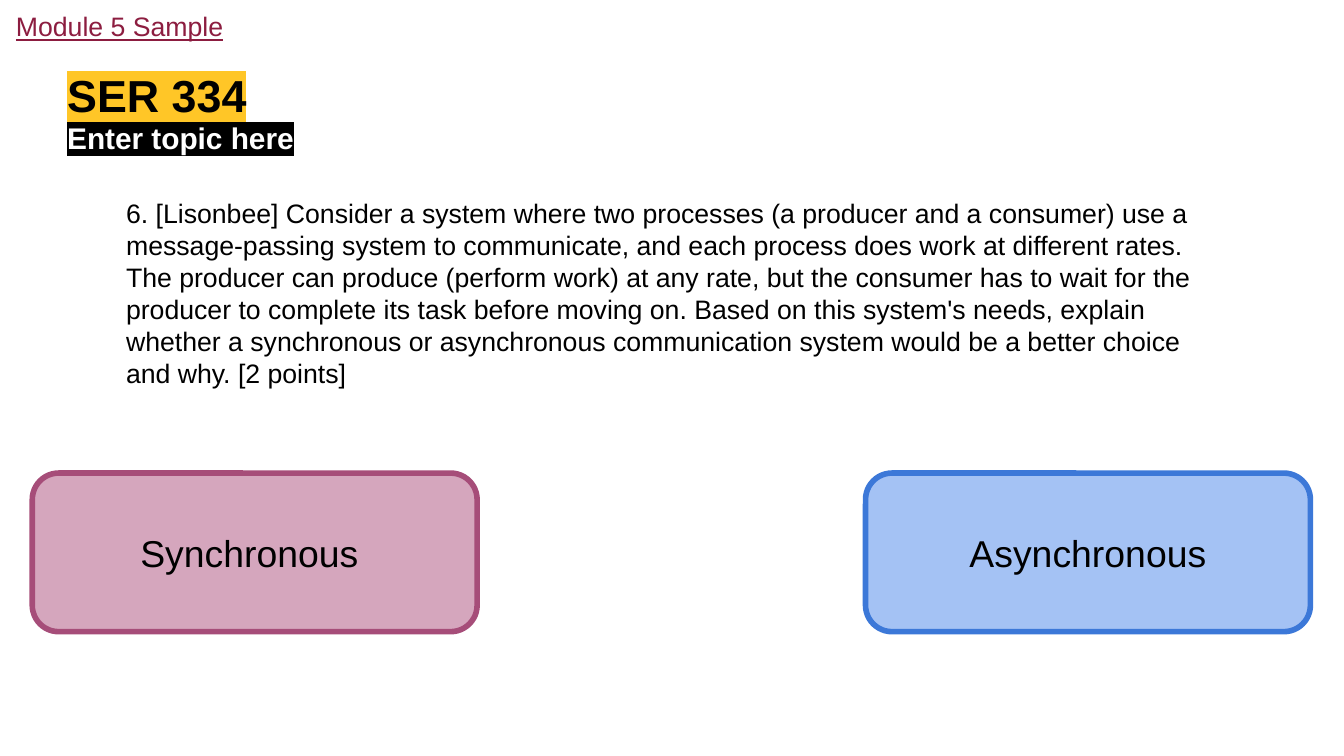
from lxml import etree
from pptx import Presentation
from pptx.dml.color import RGBColor
from pptx.enum.shapes import MSO_SHAPE
from pptx.enum.text import MSO_ANCHOR, PP_ALIGN
from pptx.oxml.ns import qn
from pptx.util import Inches, Pt

COLORS = {
    "black": "000000", "white": "FFFFFF", "gold": "FFC627", "maroon": "8C1D40",
    "pink": "D5A6BD", "plum": "A64D79", "sky": "A4C2F4", "blue": "3C78D8",
}

QUESTION = (
    "6. [Lisonbee] Consider a system where two processes (a producer and a consumer) "
    "use a message-passing system to communicate, and each process does work at "
    "different rates. The producer can produce (perform work) at any rate, but the "
    "consumer has to wait for the producer to complete its task before moving on. "
    "Based on this system's needs, explain whether a synchronous or asynchronous "
    "communication system would be a better choice and why. [2 points]"
)
BODY_SIZE = 14.3

# Headings: text, top, width, height, size, text colour, highlight
HEADINGS = [
    ("SER 334", 0.5, 4.85, 0.39, 24, "black", "gold"),
    ("Enter topic here", 0.89, 6.51, 0.29, 16, "white", "black"),
]
HEADING_LEFT = 0.5

# Answer choices: text, left, fill, outline
CHOICES = [
    ("Synchronous ", 0.24, "pink", "plum"),
    ("Asynchronous", 6.44, "sky", "blue"),
]
CHOICE_TOP, CHOICE_WIDTH, CHOICE_HEIGHT = 3.52, 3.31, 1.18


def color(name):
    return RGBColor.from_string(COLORS[name])


def write(shape, text, size, ink="black", inset=0.1, anchor=MSO_ANCHOR.MIDDLE,
          align=PP_ALIGN.LEFT, bold=False, underline=False, highlight=None):
    frame = shape.text_frame
    frame.word_wrap = True
    frame.vertical_anchor = anchor
    frame.margin_left = frame.margin_right = Inches(inset)
    frame.margin_top = frame.margin_bottom = Inches(inset)
    paragraph = frame.paragraphs[0]
    paragraph.alignment = align
    run = paragraph.add_run()
    run.text = text
    font = run.font
    font.name, font.size = "Arial", Pt(size)
    font.bold, font.underline = bold, underline
    font.color.rgb = color(ink)
    if highlight:
        mark = etree.Element(qn("a:highlight"))
        etree.SubElement(mark, qn("a:srgbClr"), val=COLORS[highlight])
        run._r.get_or_add_rPr().find(qn("a:solidFill")).addnext(mark)


def add_text(slide, box, text, size, **style):
    write(slide.shapes.add_textbox(*map(Inches, box)), text, size, **style)


# Widescreen page, 16:9
presentation = Presentation()
presentation.slide_width = Inches(10)
presentation.slide_height = Inches(10 * 9 / 16)
slide = presentation.slides.add_slide(presentation.slide_layouts[6])

# Course and topic headings
for text, top, width, height, size, ink, highlight in HEADINGS:
    add_text(slide, (HEADING_LEFT, top, width, height), text, size, ink=ink,
             inset=0, anchor=MSO_ANCHOR.TOP, bold=True, highlight=highlight)

# Module label and question
add_text(slide, (0, 0, 1.78, 0.39), "Module 5 Sample", BODY_SIZE, ink="maroon",
         align=PP_ALIGN.CENTER, underline=True)
add_text(slide, (0.84, 1.33, 8.33, 1.7), QUESTION, BODY_SIZE)

# Answer choices
for text, left, fill, outline in CHOICES:
    box = (left, CHOICE_TOP, CHOICE_WIDTH, CHOICE_HEIGHT)
    choice = slide.shapes.add_shape(MSO_SHAPE.ROUNDED_RECTANGLE, *map(Inches, box))
    choice.shadow.inherit = False
    choice.fill.solid()
    choice.fill.fore_color.rgb = color(fill)
    choice.line.color.rgb = color(outline)
    choice.line.width = Pt(3)
    write(choice, text, 20, align=PP_ALIGN.CENTER)

presentation.save("out.pptx")
